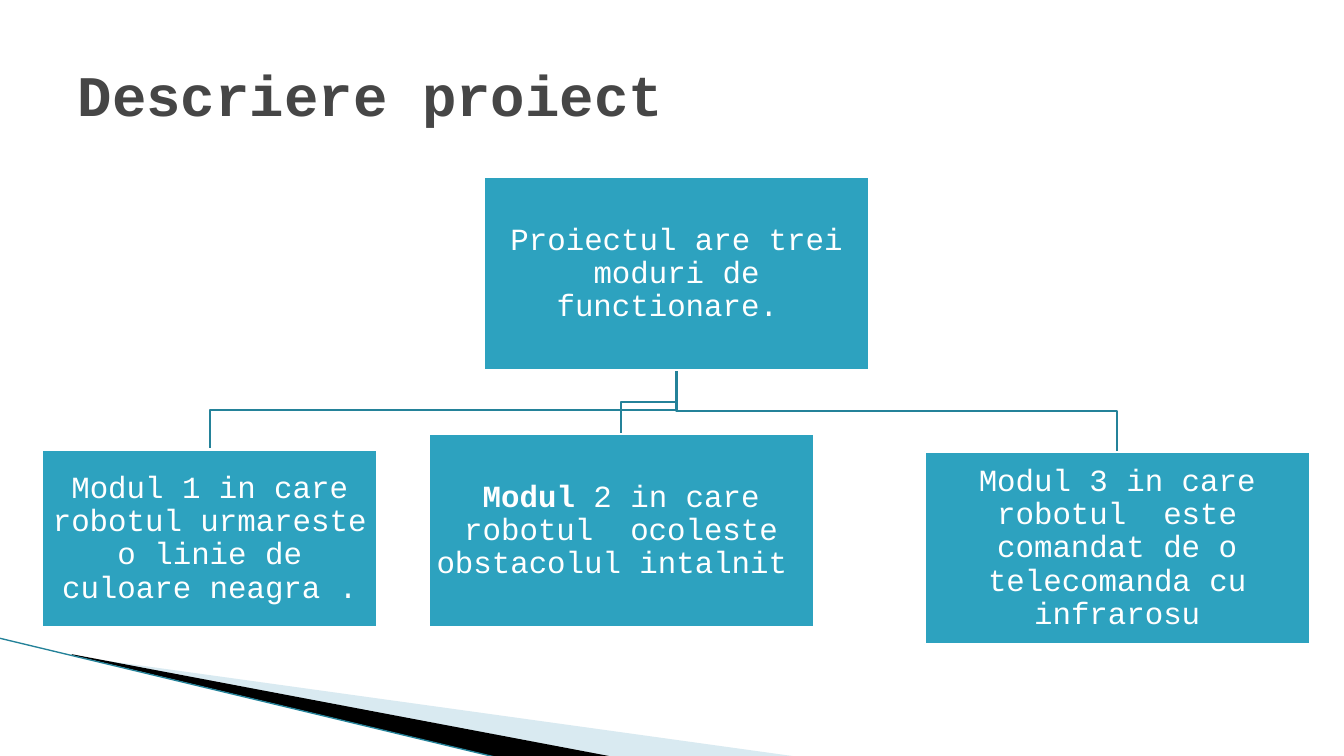
from dataclasses import dataclass

from lxml.etree import SubElement
from pptx import Presentation
from pptx.dml.color import RGBColor as Rgb
from pptx.enum.shapes import MSO_CONNECTOR as Conn, MSO_SHAPE as Shape
from pptx.enum.text import MSO_ANCHOR as Anchor, PP_ALIGN as Align
from pptx.oxml.ns import qn
from pptx.util import Inches, Pt


@dataclass(frozen=True)
class Theme:
    font: str = "Courier New"
    title: str = "464646"
    box: str = "2DA2BF"
    link: str = "248299"
    pale: str = "A0CBDC"
    dark: str = "000000"
    white: str = "FFFFFF"
    head: float = 41
    body: float = 22
    rule: float = 1.5
    thin: float = 0.95


THEME = Theme()

# Each box: left, top, width, height, then runs of text and bold
ROOT = (4.8, 1.76, 3.82, 1.91,
        [("Proiectul are trei moduri de functionare. ", False)])
MODES = [
    (9.17, 4.48, 3.82, 1.91,
     [("Modul 3 in care robotul  este comandat de o telecomanda cu infrarosu",
       False)]),
    (4.25, 4.31, 3.82, 1.91,
     [("Modul", True),
      (" 2 in care robotul  ocoleste obstacolul intalnit ", False)]),
    (0.42, 4.46, 3.32, 1.76,
     [("Modul 1 in care robotul urmareste o linie de culoare neagra .",
       False)]),
]


def style(item, **values):
    for name, value in values.items():
        setattr(item, name, value)


def paint(part, color):
    part.solid()
    part.fore_color.rgb = Rgb.from_string(color)


def stroke(line, color, width):
    paint(line.fill, color)
    line.width = Pt(width)


def add_run(para, text, size, color, bold):
    run = para.add_run()
    run.text = text
    style(run.font, name=THEME.font, size=Pt(size), bold=bold)
    run.font.color.rgb = Rgb.from_string(color)


def add_path(slide, points, close):
    start, *rest = [(Inches(x), Inches(y)) for x, y in points]
    form = slide.shapes.build_freeform(*start, scale=1.0)
    form.add_line_segments(rest, close=close)
    shape = form.convert_to_shape()
    shape.shadow.inherit = False
    return shape


def add_wedge(slide, points, color, alpha=100):
    wedge = add_path(slide, points, True)
    paint(wedge.fill, color)
    wedge.line.fill.background()
    if alpha < 100:
        tone = wedge.fill._xPr.find(qn("a:solidFill"))[0]
        SubElement(tone, qn("a:alpha"), val=str(alpha * 1000))


def add_edge(slide, start, end):
    edge = slide.shapes.add_connector(
        Conn.STRAIGHT, *[Inches(v) for v in start + end])
    stroke(edge.line, THEME.link, THEME.thin)
    SubElement(edge._element.spPr, qn("a:effectLst"))


def add_link(slide, root, mode):
    # Run down from the root, across halfway, then down to the mode
    x, y = root[0] + root[2] / 2, root[1] + root[3]
    end, top = mode[0] + mode[2] / 2, mode[1]
    mid = (y + top) / 2
    link = add_path(slide, [(x, y), (x, mid), (end, mid), (end, top)], False)
    link.fill.background()
    stroke(link.line, THEME.link, THEME.rule)


def add_box(slide, left, top, width, height, runs):
    box = slide.shapes.add_shape(
        Shape.RECTANGLE, *[Inches(v) for v in (left, top, width, height)])
    box.shadow.inherit = False
    paint(box.fill, THEME.box)
    stroke(box.line, THEME.white, THEME.rule)
    frame = box.text_frame
    pad = Inches(0.02)
    style(frame, word_wrap=True, vertical_anchor=Anchor.MIDDLE,
          margin_left=pad, margin_right=pad, margin_top=pad, margin_bottom=pad)
    para = frame.paragraphs[0]
    style(para, alignment=Align.CENTER, line_spacing=0.9)
    for text, bold in runs:
        add_run(para, text, THEME.body, THEME.white, bold)


def set_title(slide, text):
    title = slide.shapes.title
    style(title, left=Inches(0.67), top=Inches(0.3),
          width=Inches(12), height=Inches(1.25))
    style(title.text_frame, word_wrap=True, vertical_anchor=Anchor.MIDDLE)
    para = title.text_frame.paragraphs[0]
    para.alignment = Align.LEFT
    add_run(para, text, THEME.head, THEME.title, True)


def main():
    deck = Presentation()
    style(deck, slide_width=Inches(13.33), slide_height=Inches(7.5))
    slide = deck.slides.add_slide(deck.slide_layouts[5])

    # Corner swoosh
    add_wedge(slide, [(0.73, 6.51), (7.93, 7.51), (6.08, 7.51), (0.73, 6.5)],
              THEME.pale, 40)
    add_wedge(slide, [(0.71, 6.49), (6.09, 7.51), (4.96, 7.52), (0.72, 6.5)],
              THEME.dark)
    add_edge(slide, (-0.01, 6.33), (4.95, 7.52))

    # Tree of modes
    for mode in MODES:
        add_link(slide, ROOT, mode)
    for box in [ROOT, *reversed(MODES)]:
        add_box(slide, *box)

    set_title(slide, "Descriere proiect")
    deck.save("out.pptx")


if __name__ == "__main__":
    main()
